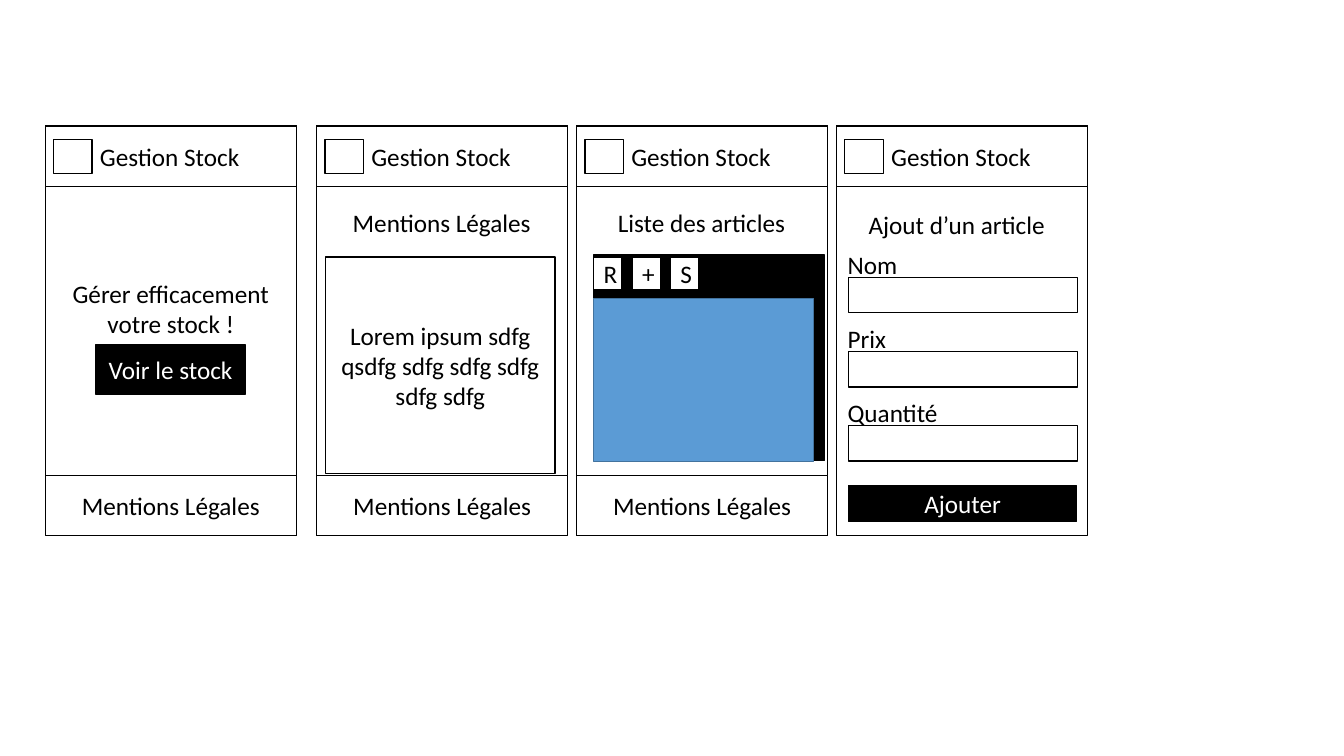
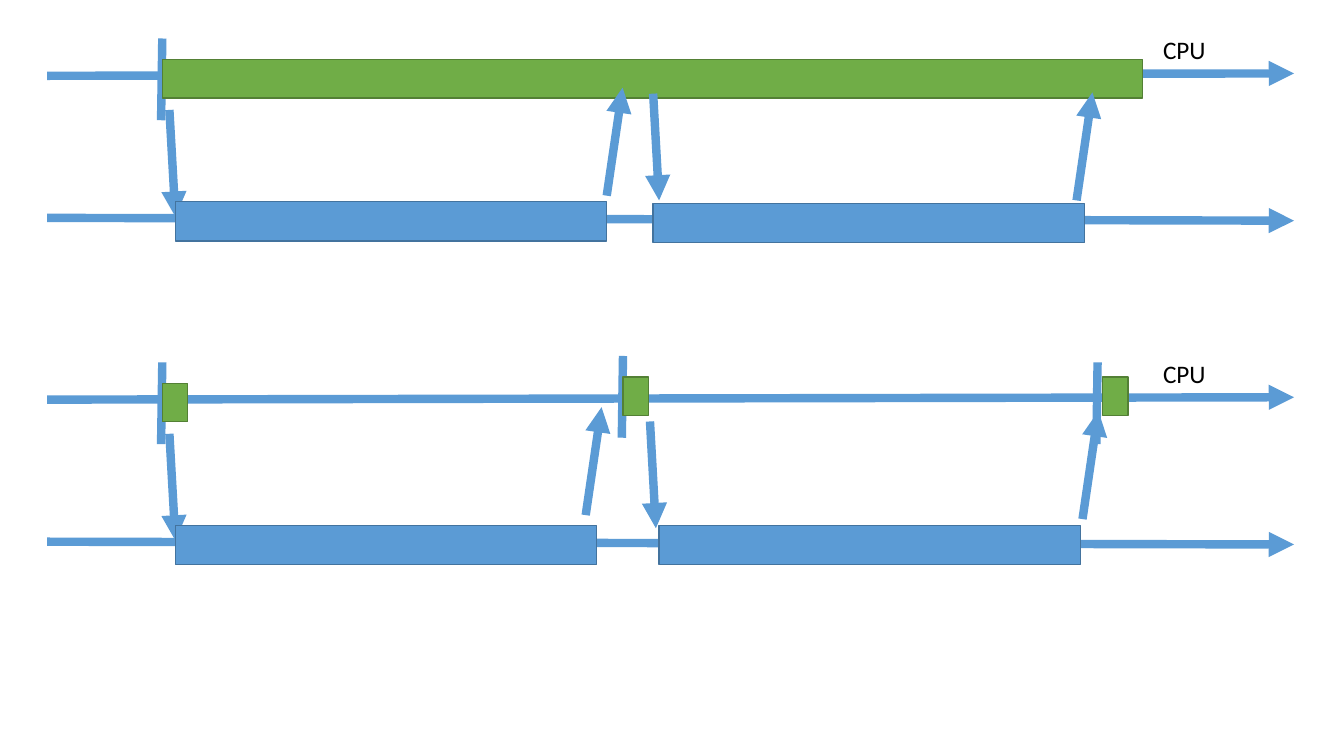
from dataclasses import dataclass

from lxml import etree
from pptx import Presentation
from pptx.dml.color import RGBColor
from pptx.enum.shapes import MSO_CONNECTOR, MSO_SHAPE
from pptx.enum.text import MSO_ANCHOR, MSO_AUTO_SIZE, PP_ALIGN
from pptx.oxml.ns import qn
from pptx.util import Cm, Pt

RECTANGLE = MSO_SHAPE.RECTANGLE
STRAIGHT = MSO_CONNECTOR.STRAIGHT
LEFT, CENTER = PP_ALIGN.LEFT, PP_ALIGN.CENTER
TOP, MIDDLE = MSO_ANCHOR.TOP, MSO_ANCHOR.MIDDLE
GROW = MSO_AUTO_SIZE.SHAPE_TO_FIT_TEXT

# Shared style
FONT = "Calibri"
BLACK, WHITE = "000000", "FFFFFF"
BLUE, BLUE_EDGE = "5B9BD5", "43739E"
GREEN, GREEN_EDGE = "70AD47", "538035"
LABEL_HEIGHT = 1.02

# Phone screens, in centimetres
PHONE_TOP, PHONE_WIDTH, PHONE_HEIGHT, BAR_HEIGHT = 3.18, 6.33, 10.32, 1.52
FIELD_LEFT, FIELD_TOP, FIELD_STEP = 21.39, 6.99, 1.87

# Timelines, in centimetres
AXIS_START, AXIS_END = 1.19, 32.61
CPU_HEIGHT, TASK_HEIGHT, TASK_TOP = 0.97, 0.99, 5.08
TICK = (-0.03, 2.06)
DOWN = (0.15, 2.69)
UP = (0.4, -2.72)


@dataclass(frozen=True)
class Phone:
    left: float
    heading: str = ""
    heading_left: float = 0
    heading_top: float = 5.11
    heading_width: float = 0
    footer: bool = True


@dataclass(frozen=True)
class Block:
    left: float
    top: float
    width: float


@dataclass(frozen=True)
class Point:
    x: float
    y: float


@dataclass(frozen=True)
class Timeline:
    top: float
    cpu_blocks: tuple[Block, ...]
    task_blocks: tuple[Block, ...]
    ticks: tuple[Point, ...]
    starts: tuple[Point, ...]
    returns: tuple[Point, ...]


PHONES = (
    Phone(1.14),
    Phone(7.98, "Mentions Légales", 8.64, heading_width=5.05),
    Phone(14.53, "Liste des articles", 15.32, heading_width=4.78),
    Phone(21.08, "Ajout d’un article", 21.64, 5.16, 5.0, footer=False),
)

FIELDS = (("Nom", 1.78), ("Prix", 1.5), ("Quantité", 2.82))

TIMELINES = (
    Timeline(
        top=0,
        cpu_blocks=(Block(4.09, 1.5, 24.71),),
        task_blocks=(Block(4.42, TASK_TOP, 10.87), Block(16.46, 5.13, 10.87)),
        ticks=(Point(4.09, 0.97),),
        starts=(Point(4.27, 2.77), Point(16.46, 2.36)),
        returns=(Point(15.29, 4.93), Point(27.13, 5.05)),
    ),
    Timeline(
        top=8.16,
        cpu_blocks=(Block(4.09, 1.5, 0.64), Block(15.7, 1.34, 0.64),
                    Block(27.79, 1.34, 0.64)),
        task_blocks=(Block(4.42, TASK_TOP, 10.62), Block(16.61, TASK_TOP, 10.62)),
        ticks=(Point(4.09, 0.97), Point(15.7, 0.81), Point(27.66, 0.97)),
        starts=(Point(4.27, 2.77), Point(16.38, 2.46)),
        returns=(Point(14.76, 4.82), Point(27.28, 4.92)),
    ),
)


def color(value: str) -> RGBColor:
    return RGBColor.from_string(value)


def write(frame, text: str, *, ink: str = BLACK, align=CENTER,
          anchor=MIDDLE, wrap: bool = True) -> None:
    frame.word_wrap = wrap
    frame.vertical_anchor = anchor
    para = frame.paragraphs[0]
    para.alignment = align
    span = para.add_run()
    span.text = text
    span.font.name = FONT
    span.font.size = Pt(18)
    span.font.color.rgb = color(ink)


def add_box(page, left: float, top: float, width: float, height: float,
            text: str = "", fill: str = WHITE, edge: str = BLACK,
            ink: str = BLACK) -> None:
    box = page.shapes.add_shape(RECTANGLE, Cm(left), Cm(top), Cm(width), Cm(height))
    box.shadow.inherit = False
    box.fill.solid()
    box.fill.fore_color.rgb = color(fill)
    box.line.color.rgb = color(edge)
    box.line.width = Pt(1)
    if text:
        write(box.text_frame, text, ink=ink)


def add_label(page, left: float, top: float, width: float, text: str,
              height: float = LABEL_HEIGHT, align=LEFT, wrap: bool = False) -> None:
    label = page.shapes.add_textbox(Cm(left), Cm(top), Cm(width), Cm(height))
    write(label.text_frame, text, align=align, anchor=TOP, wrap=wrap)
    label.text_frame.auto_size = GROW


def add_line(page, start: Point, delta: tuple[float, float],
             arrow: bool = True) -> None:
    line = page.shapes.add_connector(
        STRAIGHT, Cm(start.x), Cm(start.y),
        Cm(start.x + delta[0]), Cm(start.y + delta[1]))
    line.line.color.rgb = color(BLUE)
    line.line.width = Pt(6)
    properties = line._element.spPr
    if arrow:
        etree.SubElement(properties.find(qn("a:ln")), qn("a:tailEnd"), type="triangle")
    etree.SubElement(properties, qn("a:effectLst"))


def draw_phone(page, phone: Phone) -> None:
    add_box(page, phone.left, PHONE_TOP, PHONE_WIDTH, PHONE_HEIGHT)
    add_box(page, phone.left, PHONE_TOP, PHONE_WIDTH, BAR_HEIGHT)
    add_box(page, phone.left + 0.21, 3.51, 0.97, 0.86)
    add_label(page, phone.left + 1.13, 3.43, 4.06, "Gestion Stock")
    if phone.footer:
        footer_top = PHONE_TOP + PHONE_HEIGHT - BAR_HEIGHT
        add_box(page, phone.left, footer_top, PHONE_WIDTH, BAR_HEIGHT,
                "Mentions Légales")
    if phone.heading:
        add_label(page, phone.heading_left, phone.heading_top,
                  phone.heading_width, phone.heading)


def draw_mockups(page) -> None:
    for phone in PHONES:
        draw_phone(page, phone)

    # Home screen
    add_label(page, PHONES[0].left, 6.88, PHONE_WIDTH,
              "Gérer efficacement votre stock !", height=1.8, align=CENTER, wrap=True)
    add_box(page, 2.41, 8.69, 3.78, 1.24, "Voir le stock", fill=BLACK, ink=WHITE)

    # Legal notice
    add_box(page, 8.2, 6.48, 5.79, 5.46,
            "Lorem ipsum sdfg qsdfg sdfg sdfg sdfg sdfg sdfg")

    # Article list with its toolbar
    list_left = 14.96
    add_box(page, list_left, 6.43, 5.82, 5.18, fill=BLACK)
    for index, key in enumerate("R+S"):
        add_box(page, list_left + index * 0.97, 6.48, 0.71, 0.81, key)
    add_box(page, list_left, 7.52, 5.54, 4.11, fill=BLUE, edge=BLUE_EDGE)

    # Article form
    for index, (name, width) in enumerate(FIELDS):
        top = FIELD_TOP + index * FIELD_STEP
        add_box(page, FIELD_LEFT, top, 5.77, 0.89)
        add_label(page, FIELD_LEFT - 0.28, top - 0.84, width, name)
    add_box(page, FIELD_LEFT, 12.24, 5.74, 0.91, "Ajouter", fill=BLACK, ink=WHITE)


def draw_timeline(page, timeline: Timeline) -> None:
    def place(point: Point) -> Point:
        return Point(point.x, timeline.top + point.y)

    # Axes and ticks
    axis_length = AXIS_END - AXIS_START
    add_line(page, place(Point(AXIS_START, 1.91)), (axis_length, -0.06))
    add_line(page, place(Point(AXIS_START, 5.49)), (axis_length, 0.07))
    add_label(page, 29.06, timeline.top + 0.74, 1.6, "CPU")
    for tick in timeline.ticks:
        add_line(page, place(tick), TICK, arrow=False)

    # The first start arrow lies under the blocks
    first_start, *later_starts = timeline.starts
    add_line(page, place(first_start), DOWN)
    for blocks, height, fill, edge in (
            (timeline.cpu_blocks, CPU_HEIGHT, GREEN, GREEN_EDGE),
            (timeline.task_blocks, TASK_HEIGHT, BLUE, BLUE_EDGE)):
        for block in blocks:
            add_box(page, block.left, timeline.top + block.top, block.width,
                    height, fill=fill, edge=edge)

    # Remaining arrows between the axes
    for start in later_starts:
        add_line(page, place(start), DOWN)
    for start in timeline.returns:
        add_line(page, place(start), UP)


def main() -> None:
    deck = Presentation()
    deck.slide_width, deck.slide_height = Cm(33.87), Cm(19.05)
    blank = deck.slide_layouts[6]
    draw_mockups(deck.slides.add_slide(blank))
    timeline_page = deck.slides.add_slide(blank)
    for timeline in TIMELINES:
        draw_timeline(timeline_page, timeline)
    deck.save("out.pptx")


if __name__ == "__main__":
    main()
